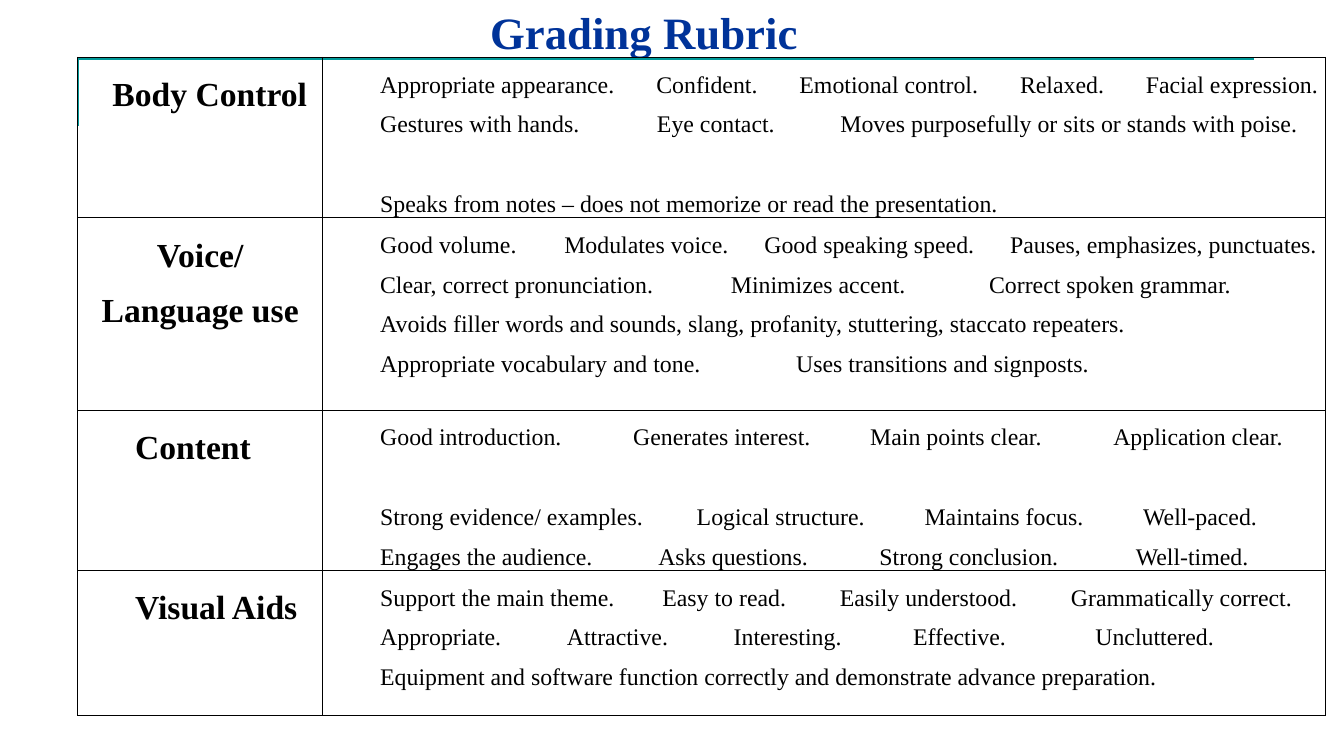
from itertools import zip_longest

from lxml.etree import SubElement
from pptx import Presentation
from pptx.dml.color import RGBColor
from pptx.enum.text import MSO_ANCHOR, PP_ALIGN
from pptx.oxml.ns import qn
from pptx.util import Inches, Pt

BLACK = RGBColor(0x00, 0x00, 0x00)
WHITE = RGBColor(0xFF, 0xFF, 0xFF)
TEAL = RGBColor(0x00, 0x99, 0x99)
BLUE = RGBColor(0x00, 0x33, 0x99)

BLANK_LINE = 28.3  # points, one line of criteria text

# Heading lines, heading alignment, heading indent (inches), row height (grid rows), criteria.
# Each criteria line: phrases, gaps between them (space widths), space after (points).
RUBRIC = [
    (["Body Control"], PP_ALIGN.CENTER, 0.19, 21.2, [
        (["Appropriate appearance.", "Confident.", "Emotional control.", "Relaxed.",
          "Facial expression."], [7, 7, 7, 7], 0),
        (["Gestures with hands.", "Eye contact.",
          "Moves purposefully or sits or stands with poise."], [13, 11], BLANK_LINE),
        (["Speaks from notes – does not memorize or read the presentation."], [], 0),
    ]),
    (["Voice/", "Language use"], PP_ALIGN.CENTER, 0, 25.47, [
        (["Good volume.", "Modulates voice.", "Good speaking speed.",
          "Pauses, emphasizes, punctuates."], [8, 6, 6], 0),
        (["Clear, correct pronunciation.", "Minimizes accent.",
          "Correct spoken grammar."], [13, 14], 0),
        (["Avoids filler words and sounds, slang, profanity, stuttering, staccato repeaters."],
         [], 0),
        (["Appropriate vocabulary and tone.", "Uses transitions and signposts."], [16], 0),
    ]),
    (["Content"], PP_ALIGN.LEFT, 0.5, 21.2, [
        (["Good introduction.", "Generates interest.", "Main points clear.",
          "Application clear."], [12, 10, 12], BLANK_LINE),
        (["Strong evidence/ examples.", "Logical structure.", "Maintains focus.",
          "Well-paced."], [9, 10, 10], 0),
        (["Engages the audience.", "Asks questions.", "Strong conclusion.",
          "Well-timed."], [11, 12, 13], 0),
    ]),
    (["Visual Aids"], PP_ALIGN.LEFT, 0.5, 19.2, [
        (["Support the main theme.", "Easy to read.", "Easily understood.",
          "Grammatically correct."], [8, 9, 9], 0),
        (["Appropriate.", "Attractive.", "Interesting.", "Effective.",
          "Uncluttered."], [11, 11, 12, 15], 0),
        (["Equipment and software function correctly and demonstrate advance preparation."],
         [], 0),
    ]),
]


class RubricPage:
    """Draws on a grid of 100 columns by 100 rows."""

    font_name = "Times New Roman"
    heading_size = 24
    criteria_size = 17
    space_share = 0.25  # width of a space as a share of the text size

    def __init__(self, deck):
        self.page = deck.slides.add_slide(deck.slide_layouts[5])
        self.column = deck.slide_width / 100
        self.row = deck.slide_height / 100

    def across(self, columns):
        return round(columns * self.column)

    def down(self, rows):
        return round(rows * self.row)

    def span(self, para, text, size, color, bold):
        span = para.add_run()
        span.text = text
        span.font.name = self.font_name
        span.font.size = Pt(size)
        span.font.bold = bold
        span.font.color.rgb = color
        return span

    def gap(self, para, spaces, size):
        """One space, widened by letter spacing (hundredths of a point)."""
        span = self.span(para, " ", size, BLACK, False)
        extra = (spaces - 1) * size * self.space_share
        span.font._element.set("spc", str(round(extra * 100)))

    def title(self, text, left, top, width, height):
        box = self.page.shapes.title
        box.left, box.top = self.across(left), self.down(top)
        box.width, box.height = self.across(width), self.down(height)
        box.text_frame.vertical_anchor = MSO_ANCHOR.TOP
        para = box.text_frame.paragraphs[0]
        para.alignment = PP_ALIGN.LEFT
        self.span(para, text, 32, BLUE, True)

    def corner_rule(self, points):
        corners = [(self.across(x), self.down(y)) for x, y in points]
        builder = self.page.shapes.build_freeform(*corners[0])
        builder.add_line_segments(corners[1:], close=False)
        rule = builder.convert_to_shape()
        rule.shadow.inherit = False
        rule.fill.background()
        rule.line.color.rgb = TEAL
        rule.line.width = Pt(1.5)

    def table(self, left, top, widths, heights):
        frame = self.page.shapes.add_table(
            len(heights), len(widths), self.across(left), self.down(top),
            self.across(sum(widths)), self.down(sum(heights)))
        table = frame.table
        table.first_row = table.horz_banding = False
        for column, width in zip(table.columns, widths):
            column.width = self.across(width)
        for row, height in zip(table.rows, heights):
            row.height = self.down(height)
        return table

    def cell(self, cell, lines, size, bold, indent, alignment=PP_ALIGN.LEFT, filled=False):
        cell.margin_left = cell.margin_right = Inches(0.07)
        cell.margin_top, cell.margin_bottom = Inches(0.01), 0
        self.borders(cell)
        if filled:
            cell.fill.solid()
            cell.fill.fore_color.rgb = WHITE
        else:
            cell.fill.background()
        for number, (phrases, gaps, space_after) in enumerate(lines):
            frame = cell.text_frame
            para = frame.add_paragraph() if number else frame.paragraphs[0]
            para.alignment = alignment
            para.line_spacing = 1.5
            para.space_after = Pt(space_after)
            properties = para._p.get_or_add_pPr()
            properties.set("marL", "0")
            properties.set("indent", str(Inches(indent)))
            for phrase, spaces in zip_longest(phrases, gaps):
                self.span(para, phrase, size, BLACK, bold)
                if spaces:
                    self.gap(para, spaces, size)

    def borders(self, cell):
        properties = cell._tc.get_or_add_tcPr()
        for side in ("lnL", "lnR", "lnT", "lnB"):
            line = SubElement(properties, qn(f"a:{side}"), w=str(Pt(1)))
            fill = SubElement(line, qn("a:solidFill"))
            SubElement(fill, qn("a:srgbClr"), val=str(BLACK))


def main():
    deck = Presentation()
    deck.slide_width, deck.slide_height = Inches(13.33), Inches(7.5)
    rubric = RubricPage(deck)

    # Title and the rule beneath it
    rubric.corner_rule([(5.82, 16.67), (5.82, 7.73), (93.32, 7.73)])
    rubric.title("Grading Rubric", 35.71, 0, 86.27, 16.53)

    # Grading table: every second row is filled
    table = rubric.table(5.78, 7.6, [18.23, 74.64], [entry[3] for entry in RUBRIC])
    for number, (heading, alignment, indent, _, criteria) in enumerate(RUBRIC):
        filled = number % 2 == 1
        heading_lines = [([text], [], 0) for text in heading]
        rubric.cell(table.cell(number, 0), heading_lines, rubric.heading_size, True,
                    indent, alignment, filled)
        rubric.cell(table.cell(number, 1), criteria, rubric.criteria_size, False,
                    0.5, filled=filled)
    table.cell(0, 1).vertical_anchor = MSO_ANCHOR.MIDDLE

    deck.save("out.pptx")


if __name__ == "__main__":
    main()
